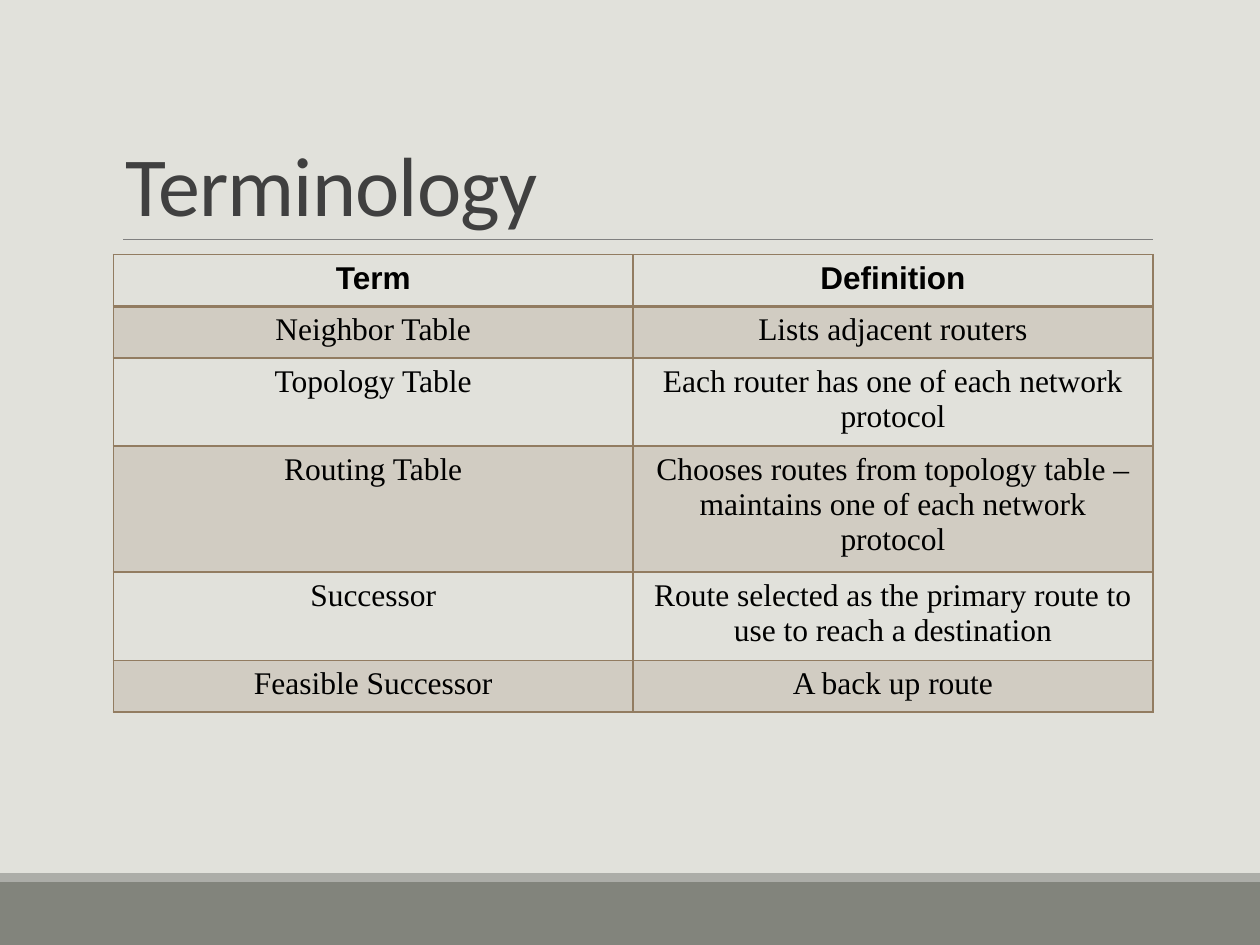
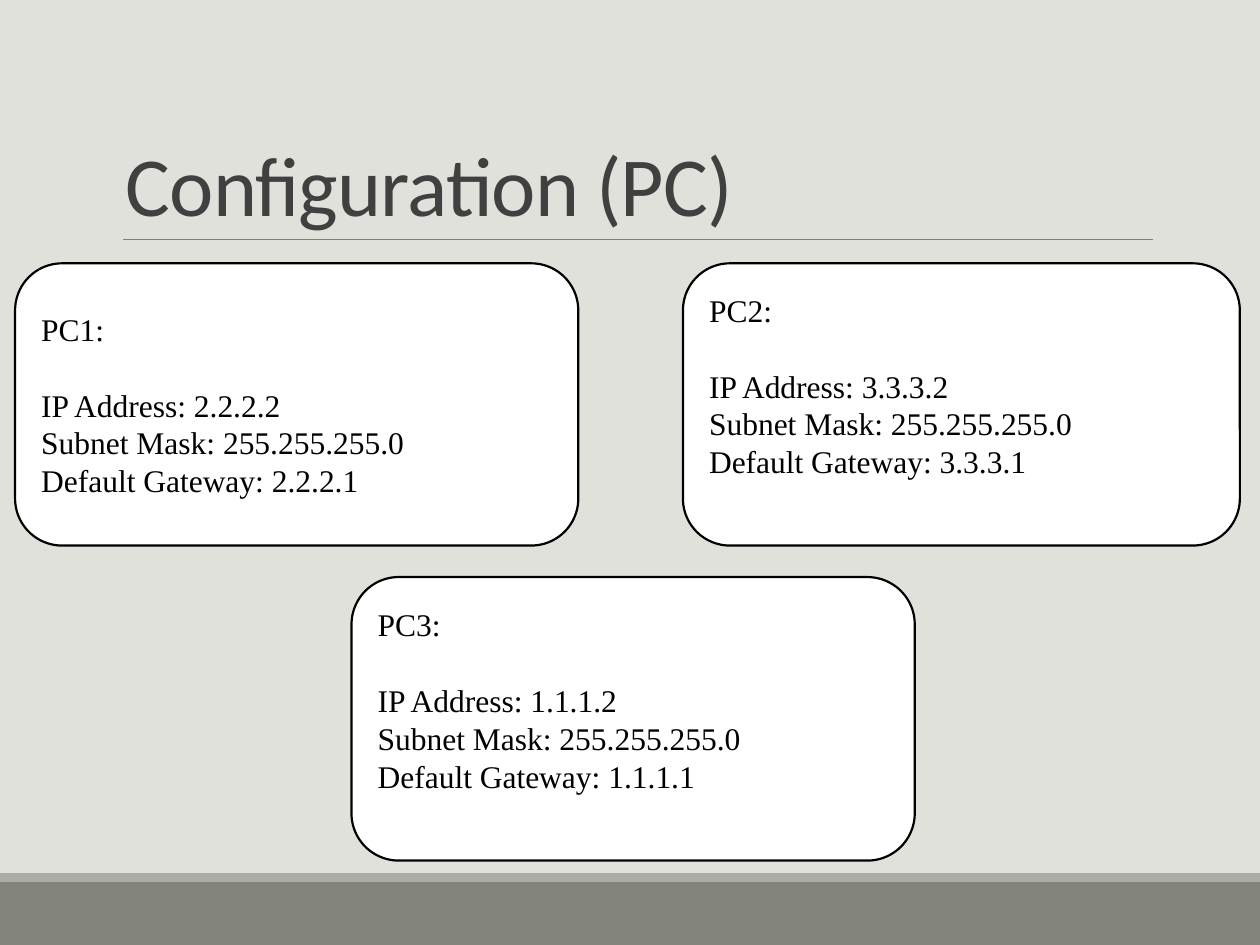
from lxml.etree import SubElement
from pptx import Presentation
from pptx.dml.color import RGBColor
from pptx.enum.shapes import MSO_CONNECTOR as Connector, MSO_SHAPE as Shape
from pptx.enum.text import MSO_ANCHOR as Anchor, PP_ALIGN as Align
from pptx.oxml.ns import qn
from pptx.util import Inches, Pt

COLORS = {
    "background": "E1E1DB",
    "footer": "82847C",
    "footer edge": "ACADA8",
    "rule": "808080",
    "title": "404040",
    "table": "927C61",
    "box": "FFFFFF",
    "ink": "000000",
}
TITLE_FONT, HEADER_FONT, BODY_FONT = "Calibri", "Arial", "Times New Roman"
BODY_SIZE = 18
LINE = 21.7  # height of one line of box text, in points

TERMS = [
    ("Term", "Definition"),
    ("Neighbor Table", "Lists adjacent routers"),
    ("Topology Table", "Each router has one of each network protocol"),
    ("Routing Table", "Chooses routes from topology table – maintains one of each network protocol"),
    ("Successor", "Route selected as the primary route to use to reach a destination"),
    ("Feasible Successor", "A back up route"),
]

# name, network digit, (left, top, width, height), lines of room below the text
PCS = [
    ("PC1", 2, (0.12, 2.09, 4.47, 2.24), 0),
    ("PC2", 3, (5.42, 2.09, 4.42, 2.24), 1),
    ("PC3", 1, (2.79, 4.58, 4.47, 2.25), 1),
]


def rgb(name):
    return RGBColor.from_string(COLORS[name])


def inches(*lengths):
    return [Inches(length) for length in lengths]


class Deck:
    def __init__(self):
        self.prs = Presentation()
        self.prs.slide_width, self.prs.slide_height = inches(10, 7.5)
        self.slide = None

    def add_slide(self, title):
        """Start a slide with the shared background, footer, rule and title."""
        self.slide = self.prs.slides.add_slide(self.prs.slide_layouts[6])
        background = self.slide.background.fill
        background.solid()
        background.fore_color.rgb = rgb("background")
        self.shape(Shape.RECTANGLE, (0, 7, 10, 0.5), "footer")
        self.shape(Shape.RECTANGLE, (0, 6.93, 10, 0.07), "footer edge")
        self.rule(0.98, 9.15, 1.9)
        self.title(title)

    def shape(self, preset, box, fill, line=None, width=1.25):
        shape = self.slide.shapes.add_shape(preset, *inches(*box))
        shape.shadow.inherit = False
        shape.fill.solid()
        shape.fill.fore_color.rgb = rgb(fill)
        if line:
            shape.line.color.rgb = rgb(line)
            shape.line.width = Pt(width)
        else:
            shape.line.fill.background()
        return shape

    def rule(self, left, right, y):
        rule = self.slide.shapes.add_connector(
            Connector.STRAIGHT, *inches(left, y, right, y))
        rule.line.color.rgb = rgb("rule")
        rule.line.width = Pt(0.5)
        SubElement(rule._element.spPr, qn("a:effectLst"))

    def run(self, paragraph, text, font=BODY_FONT, size=BODY_SIZE, color="ink", bold=False):
        run = paragraph.add_run()
        run.text = text
        run.font.name, run.font.size, run.font.bold = font, Pt(size), bold
        run.font.color.rgb = rgb(color)
        return run

    def title(self, text):
        frame = self.slide.shapes.add_textbox(*inches(0.9, 0.31, 8.25, 1.59)).text_frame
        frame.word_wrap = True
        frame.vertical_anchor = Anchor.BOTTOM
        heading = frame.paragraphs[0]
        heading.line_spacing = 0.85
        run = self.run(heading, text, TITLE_FONT, 48, "title")
        run.font._element.set("spc", "-50")

    def text_card(self, box, heading, lines, room_below):
        card = self.shape(Shape.ROUNDED_RECTANGLE, box, "box", "ink")
        frame = card.text_frame
        frame.word_wrap = True
        frame.vertical_anchor = Anchor.MIDDLE
        frame.margin_bottom = Inches(0.05) + Pt(LINE * room_below)
        first = frame.paragraphs[0]
        first.space_after = Pt(LINE)
        self.run(first, heading)
        for line in lines:
            self.run(frame.add_paragraph(), line)
        for paragraph in frame.paragraphs:
            paragraph.alignment = Align.LEFT

    def border(self, cell, side, width):
        line = SubElement(cell._tc.get_or_add_tcPr(), qn(f"a:ln{side}"), w=str(Pt(width)))
        fill = SubElement(line, qn("a:solidFill"))
        SubElement(fill, qn("a:srgbClr"), val=COLORS["table"])

    def tint(self, cell, percent):
        cell.fill.solid()
        cell.fill.fore_color.rgb = rgb("table")
        color = cell._tc.tcPr.find(".//" + qn("a:srgbClr") + "/..[last()]")
        color = cell._tc.tcPr.find(qn("a:solidFill")).find(qn("a:srgbClr"))
        SubElement(color, qn("a:alpha"), val=str(percent * 1000))

    def table(self, rows, left, top, width, row_height):
        columns = len(rows[0])
        table = self.slide.shapes.add_table(
            len(rows), columns, *inches(left, top, width, row_height * len(rows))).table
        for r, texts in enumerate(rows):
            for c, text in enumerate(texts):
                cell = table.cell(r, c)
                widths = {"L": 1, "R": 1, "T": 2 if r == 1 else 1, "B": 2 if r == 0 else 1}
                for side, line_width in widths.items():
                    self.border(cell, side, line_width)
                if r % 2:
                    self.tint(cell, 20)
                else:
                    cell.fill.background()
                paragraph = cell.text_frame.paragraphs[0]
                paragraph.alignment = Align.CENTER
                self.run(paragraph, text, BODY_FONT if r else HEADER_FONT, bold=r == 0)


def main():
    deck = Deck()

    deck.add_slide("Terminology")
    deck.table(TERMS, 0.9, 2.02, 8.25, 0.41)

    deck.add_slide("Configuration (PC)")
    for name, net, box, room_below in PCS:
        prefix = f"{net}.{net}.{net}"
        deck.text_card(box, f"{name}:", [
            f"IP Address: {prefix}.2",
            "Subnet Mask: 255.255.255.0",
            f"Default Gateway: {prefix}.1",
        ], room_below)

    deck.prs.save("out.pptx")


if __name__ == "__main__":
    main()
